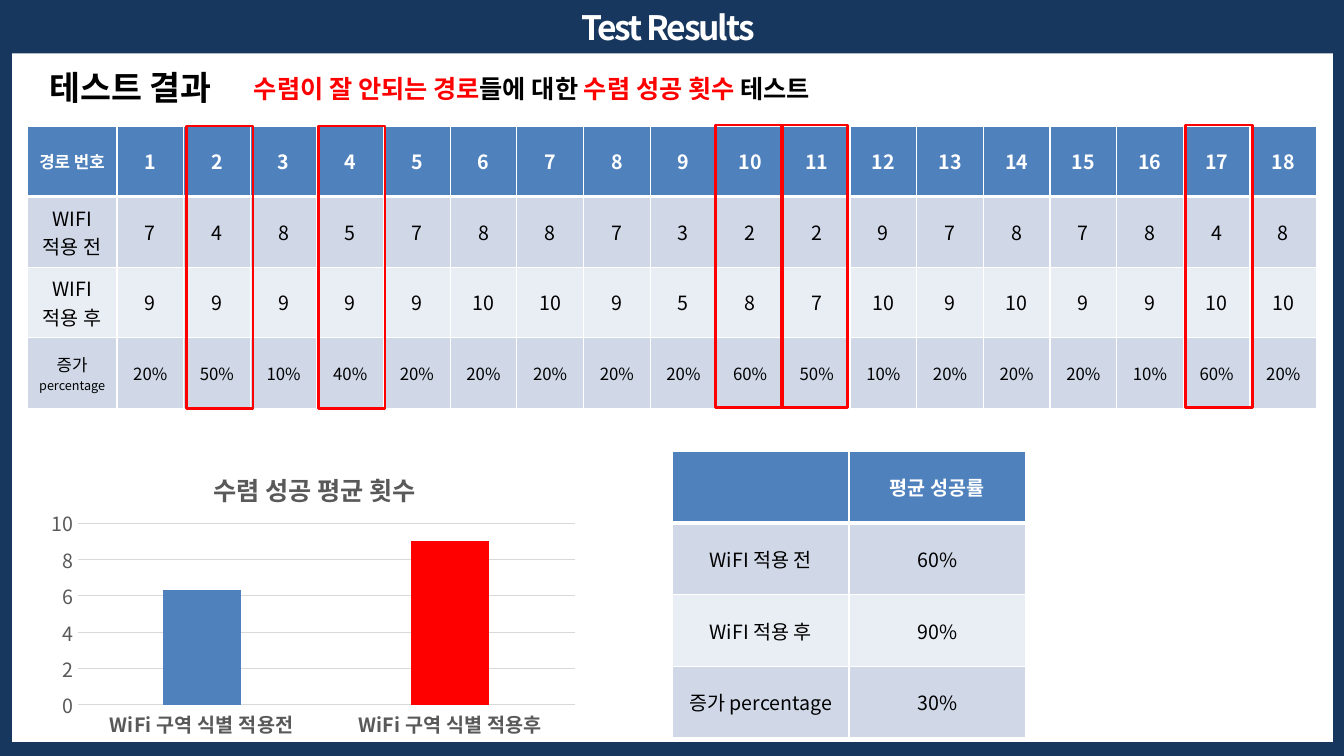
from pptx import Presentation
from pptx.chart.data import CategoryChartData
from pptx.dml.color import RGBColor
from pptx.enum.chart import XL_CHART_TYPE, XL_TICK_MARK
from pptx.enum.shapes import MSO_SHAPE
from pptx.enum.text import MSO_ANCHOR, MSO_AUTO_SIZE, PP_ALIGN
from pptx.oxml import parse_xml
from pptx.oxml.ns import nsdecls, qn
from pptx.util import Inches, Pt
from lxml.etree import SubElement

FONT = "Noto Sans CJK KR"
COLORS = {
    "navy": "17375E", "white": "FFFFFF", "black": "000000", "red": "FF0000",
    "blue": "4F81BD", "band": "D0D8E8", "light": "E9EDF4",
    "gray": "595959", "grid": "D9D9D9",
}

# Content
TITLE = "Test Results"
HEADING = "테스트 결과"
SUBTITLE = [("수렴이 잘 안되는 경로", "red"), ("들에 대한 ", "black"),
            ("수렴 성공 횟수", "red"), (" 테스트", "black")]
BEFORE = [7, 4, 8, 5, 7, 8, 8, 7, 3, 2, 2, 9, 7, 8, 7, 8, 4, 8]
AFTER = [9, 9, 9, 9, 9, 10, 10, 9, 5, 8, 7, 10, 9, 10, 9, 9, 10, 10]
INCREASE = [20, 50, 10, 40, 20, 20, 20, 20, 20, 60, 50, 10, 20, 20, 20, 10, 60, 20]
ROUTES = [
    ["경로 번호", *range(1, len(BEFORE) + 1)],
    ["WIFI\n적용 전", *BEFORE],
    ["WIFI\n적용 후", *AFTER],
    ["증가\npercentage", *(f"{value}%" for value in INCREASE)],
]
RATES = [["", "평균 성공률"], ["WiFI 적용 전", "60%"],
         ["WiFI 적용 후", "90%"], ["증가 percentage", "30%"]]
CHART_TITLE = "수렴 성공 평균 횟수"
AVERAGES = [("WiFi 구역 식별 적용전", 6.3), ("WiFi 구역 식별 적용후", 9)]
HIGHLIGHTS = [(1.85, 1.25), (3.16, 1.25), (7.1, 1.24), (7.75, 1.24), (11.76, 1.24)]


def color(name):
    return RGBColor.from_string(COLORS[name])


def style_font(font, size, color_name, bold=False):
    font.name, font.size, font.bold = FONT, Pt(size), bold
    font.color.rgb = color(color_name)


def write(frame, paragraphs, sizes=(14,), bold=False, align=PP_ALIGN.LEFT, spacing=None):
    """Each paragraph is a list of (text, color name); the last size repeats."""
    for index, runs in enumerate(paragraphs):
        paragraph = frame.paragraphs[0] if index == 0 else frame.add_paragraph()
        paragraph.alignment = align
        for text, color_name in runs:
            run = paragraph.add_run()
            run.text = text
            style_font(run.font, sizes[min(index, len(sizes) - 1)], color_name, bold)
            properties = run.font._element
            SubElement(properties, qn("a:ea")).set("typeface", FONT)
            if spacing:
                properties.set("spc", str(int(spacing * 100)))


def place(shape, left, top, width, height):
    shape.left, shape.top = Inches(left), Inches(top)
    shape.width, shape.height = Inches(width), Inches(height)


def add_rectangle(slide, left, top, width, height, fill=None, line=None):
    shape = slide.shapes.add_shape(
        MSO_SHAPE.RECTANGLE, Inches(left), Inches(top), Inches(width), Inches(height))
    shape.shadow.inherit = False
    if fill:
        shape.fill.solid()
        shape.fill.fore_color.rgb = color(fill)
    else:
        shape.fill.background()
    if line:
        shape.line.color.rgb, shape.line.width = color(line), Pt(2)
    else:
        shape.line.fill.background()
    return shape


def fit_to_text(frame):
    frame.word_wrap = True
    frame.vertical_anchor = MSO_ANCHOR.TOP
    frame.auto_size = MSO_AUTO_SIZE.SHAPE_TO_FIT_TEXT


def set_borders(cell, bottom):
    properties = cell._tc.get_or_add_tcPr()
    for side, width in (("L", 1), ("R", 1), ("T", 1), ("B", bottom)):
        properties.append(parse_xml(
            f'<a:ln{side} {nsdecls("a")} w="{Pt(width)}"><a:solidFill>'
            f'<a:srgbClr val="{COLORS["white"]}"/></a:solidFill></a:ln{side}>'))


def add_table(slide, rows, left, top, widths, row_height, cell_sizes):
    table = slide.shapes.add_table(
        len(rows), len(widths), Inches(left), Inches(top),
        Inches(sum(widths)), Inches(row_height * len(rows))).table
    for column, width in zip(table.columns, widths):
        column.width = Inches(width)
    for r, values in enumerate(rows):
        table.rows[r].height = Inches(row_height)
        header = r == 0
        fill = "blue" if header else ("band" if r % 2 else "light")
        for c, value in enumerate(values):
            cell = table.cell(r, c)
            set_borders(cell, 3 if header else 1)
            cell.fill.solid()
            cell.fill.fore_color.rgb = color(fill)
            cell.vertical_anchor = MSO_ANCHOR.MIDDLE
            if value != "":
                text_color = "white" if header else "black"
                lines = [[(line, text_color)] for line in str(value).split("\n")]
                write(cell.text_frame, lines, sizes=cell_sizes(r, c),
                      bold=header, align=PP_ALIGN.CENTER)


def route_sizes(row, column):
    if row == 3:
        return (12, 9)
    return (12,) if (row, column) == (0, 0) else (14,)


def set_layout(element, index, **values):
    """Fix the place of a chart part, in fractions of the chart."""
    for old in element.findall(qn("c:layout")):
        element.remove(old)
    layout = parse_xml(f'<c:layout {nsdecls("c")}><c:manualLayout/></c:layout>')
    for tag, value in values.items():
        SubElement(layout[0], qn(f"c:{tag}")).set("val", str(value))
    element.insert(index, layout)


def add_average_chart(slide):
    data = CategoryChartData()
    data.categories = [name for name, _ in AVERAGES]
    data.add_series("Series 1", [value for _, value in AVERAGES])
    chart = slide.shapes.add_chart(
        XL_CHART_TYPE.COLUMN_CLUSTERED, Inches(0.39), Inches(4.42),
        Inches(5.42), Inches(2.96), data).chart
    style_font(chart.font, 10, "black")
    chart.has_legend = False
    chart.has_title = True
    write(chart.chart_title.text_frame, [[(CHART_TITLE, "gray")]],
          sizes=(18,), bold=True, align=PP_ALIGN.CENTER)
    set_layout(chart.chart_title._element, 1, xMode="edge", yMode="edge", x=0.31, y=0.06)
    set_layout(chart._chartSpace.chart.plotArea, 0, layoutTarget="inner",
               xMode="edge", yMode="edge", x=0.07, y=0.26, w=0.91, h=0.61)

    plot = chart.plots[0]
    plot.gap_width, plot.overlap, plot.vary_by_categories = 219, -27, False
    series = plot.series[0]
    for part, name in ((series, "blue"), (series.points[1], "red")):
        part.format.fill.solid()
        part.format.fill.fore_color.rgb = color(name)

    category_axis, value_axis = chart.category_axis, chart.value_axis
    for axis, bold in ((category_axis, True), (value_axis, False)):
        axis.major_tick_mark = axis.minor_tick_mark = XL_TICK_MARK.NONE
        style_font(axis.tick_labels.font, 14, "gray", bold)
    value_axis.minimum_scale, value_axis.maximum_scale, value_axis.major_unit = 0, 10, 2
    value_axis.format.line.fill.background()
    for line in (category_axis.format.line, value_axis.major_gridlines.format.line):
        line.color.rgb, line.width = color("grid"), Pt(0.75)


presentation = Presentation()
presentation.slide_width, presentation.slide_height = Inches(13.33), Inches(7.5)
slide = presentation.slides.add_slide(presentation.slide_layouts[5])
slide.background.fill.solid()
slide.background.fill.fore_color.rgb = color("navy")

# Title and white panel
add_rectangle(slide, 0.12, 0.53, 13.1, 6.83, fill="white")
title = slide.shapes.title
place(title, 4.3, 0.02, 4.65, 0.5)
fit_to_text(title.text_frame)
write(title.text_frame, [[(TITLE, "white")]], sizes=(24,), bold=True,
      align=PP_ALIGN.CENTER, spacing=-1.5)

# Heading and subtitle
for box, runs, size in (((2.42, 0.68, 8.74, 0.4), SUBTITLE, 18),
                        ((0.39, 0.61, 2.03, 0.5), [(HEADING, "black")], 24)):
    label = add_rectangle(slide, *box, fill="white")
    fit_to_text(label.text_frame)
    write(label.text_frame, [runs], sizes=(size,), bold=True)

# Results per route, averages and success rates
route_width = (12.79 - 0.89) / len(BEFORE)
add_table(slide, ROUTES, 0.27, 1.25, [0.89] + [route_width] * len(BEFORE), 0.7, route_sizes)
add_average_chart(slide)
add_table(slide, RATES, 6.67, 4.48, [1.75] * 2, 0.71, lambda row, column: (14,))

# Frames around the routes that gained most
for left, top in HIGHLIGHTS:
    add_rectangle(slide, left, top, 0.66, 2.8, line="red")

presentation.save("out.pptx")
